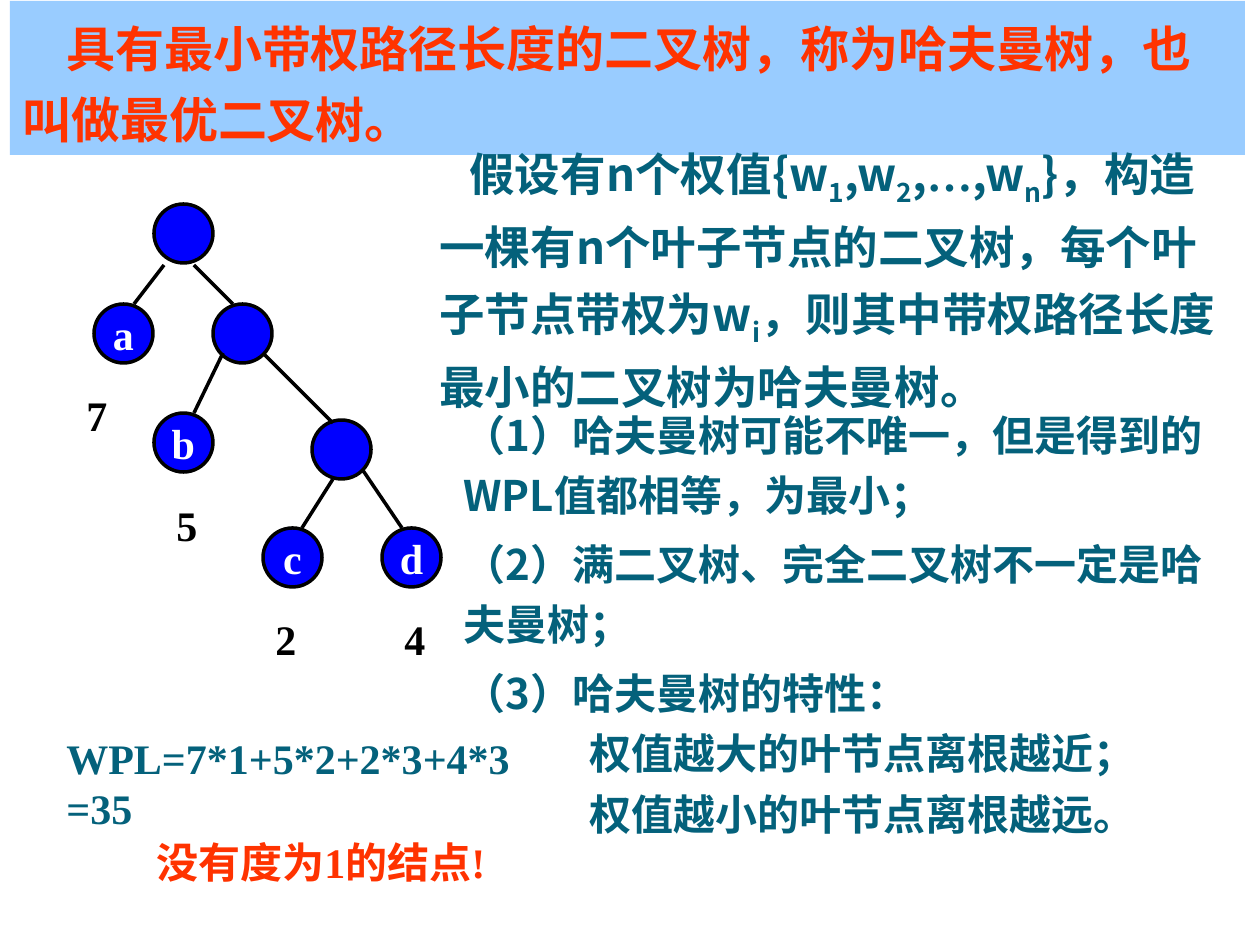
from lxml.etree import SubElement
from pptx import Presentation
from pptx.dml.color import RGBColor
from pptx.enum.shapes import MSO_CONNECTOR, MSO_SHAPE
from pptx.enum.text import MSO_ANCHOR, MSO_AUTO_SIZE, PP_ALIGN
from pptx.oxml.ns import qn
from pptx.util import Emu, Pt

BLACK = RGBColor(0, 0, 0)
WHITE = RGBColor(255, 255, 255)
BLUE = RGBColor(0, 0, 255)
SKY = RGBColor(0x99, 0xCC, 0xFF)
RED = RGBColor(0xFF, 0x33, 0x00)
TEAL = RGBColor(0x04, 0x61, 0x7B)
SERIF = "Times New Roman"
SANS = "Noto Sans CJK SC"
NODE = 59

NODES = [
    ("a", 94, 304), ("", 312, 420), ("", 154, 204), ("", 213, 304),
    ("c", 263, 528), ("d", 382, 528), ("b", 154, 413),
]
EDGES = [
    (263, 353, 333, 423), (164, 265, 134, 304), (194, 265, 233, 304),
    (333, 479, 302, 528), (362, 469, 402, 528), (223, 353, 194, 413),
]
WEIGHTS = [("7", 74, 383), ("5", 164, 493), ("2", 263, 607), ("4", 392, 607)]

TITLE = "具有最小带权路径长度的二叉树，称为哈夫曼树，也叫做最优二叉树。"
PREMISE = [
    ("假设有n个权值{w", SANS, False), ("1", SANS, True),
    (",w", SANS, False), ("2", SANS, True), (",", SANS, False),
    ("…", SERIF, False), (",w", SANS, False), ("n", SANS, True),
    ("}，构造一棵有n个叶子节点的二叉树，每个叶子节点带权为w", SANS, False),
    ("i", SANS, True),
    ("，则其中带权路径长度最小的二叉树为哈夫曼树。", SANS, False),
]
FACTS = [
    (393, 794, 134, [("（1）哈夫曼树可能不唯一，但是得到的WPL值都相等，为最小；", 0)]),
    (522, 764, 134, [("（2）满二叉树、完全二叉树不一定是哈夫曼树；", 0)]),
    (651, 774, 194, [
        ("（3）哈夫曼树的特性：", 0),
        ("权值越大的叶节点离根越近；", 126),
        ("权值越小的叶节点离根越远。", 126),
    ]),
]


def px(n):
    return Emu(round(n * 914400 / 126))


def add_run(para, text, size, color, face, sub=False):
    run = para.add_run()
    run.text = text
    font = run.font
    font.size, font.bold, font.name = Pt(size), True, face
    font.color.rgb = color
    props = run._r.get_or_add_rPr()
    SubElement(props, qn("a:ea")).set("typeface", SANS)
    if sub:
        props.set("baseline", "-25000")


def fill_text(shape, paras, size, color, space=1.0, before=0):
    frame = shape.text_frame
    frame.word_wrap = True
    frame.vertical_anchor = MSO_ANCHOR.TOP
    frame.auto_size = MSO_AUTO_SIZE.SHAPE_TO_FIT_TEXT
    for i, (runs, margin, indent) in enumerate(paras):
        para = frame.add_paragraph() if i else frame.paragraphs[0]
        para.alignment = PP_ALIGN.LEFT
        para.line_spacing = space
        para.space_before = Pt(before)
        props = para._p.get_or_add_pPr()
        props.set("marL", str(px(margin)))
        props.set("indent", str(px(indent)))
        for text, face, sub in runs:
            add_run(para, text, size, color, face, sub)


def add_box(slide, box, paras, size, color, space=1.0, before=0):
    shape = slide.shapes.add_textbox(*map(px, box))
    fill_text(shape, paras, size, color, space, before)


def plain(text, face=SERIF, margin=0, indent=0):
    return [(text, face, False)], margin, indent


def add_node(slide, label, x, y):
    node = slide.shapes.add_shape(MSO_SHAPE.OVAL, *map(px, (x, y, NODE, NODE)))
    node.shadow.inherit = False
    node.fill.solid()
    node.fill.fore_color.rgb = BLUE
    node.line.color.rgb = BLACK
    node.line.width = Pt(2)
    if label:
        frame = node.text_frame
        frame.word_wrap = False
        frame.vertical_anchor = MSO_ANCHOR.MIDDLE
        add_run(frame.paragraphs[0], label, 24, WHITE, SERIF)


def add_edge(slide, ends):
    edge = slide.shapes.add_connector(MSO_CONNECTOR.STRAIGHT, *map(px, ends))
    edge.line.color.rgb = BLACK
    edge.line.width = Pt(2)
    SubElement(edge._element.spPr, qn("a:effectLst"))


def main():
    """Build the Huffman tree slide."""
    deck = Presentation()
    deck.slide_width, deck.slide_height = px(1260), px(945)
    slide = deck.slides.add_slide(deck.slide_layouts[6])
    for node in NODES:
        add_node(slide, *node)
    for ends in EDGES:
        add_edge(slide, ends)
    for text, x, y in WEIGHTS:
        add_box(slide, (x, y, NODE, 63), [plain(text)], 24, BLACK, before=15)

    band = slide.shapes.add_shape(MSO_SHAPE.RECTANGLE, *map(px, (10, 1, 1235, 154)))
    band.shadow.inherit = False
    band.fill.solid()
    band.fill.fore_color.rgb = SKY
    band.line.fill.background()
    fill_text(band, [plain(TITLE, indent=44)], 28, RED, 1.2)

    add_box(slide, (54, 726, 476, 113), [plain("WPL=7*1+5*2+2*3+4*3=35")],
            24, TEAL, before=15)
    add_box(slide, (427, 127, 809, 292), [(PREMISE, 0, 30)], 26, TEAL, 1.2)
    for y, wide, high, lines in FACTS:
        paras = [plain(text, SANS, margin) for text, margin in lines]
        add_box(slide, (451, y, wide, high), paras, 24, TEAL, 1.2)
    add_box(slide, (144, 830, 427, 63), [plain("没有度为1的结点!")], 24, RED)
    deck.save("out.pptx")


if __name__ == "__main__":
    main()
